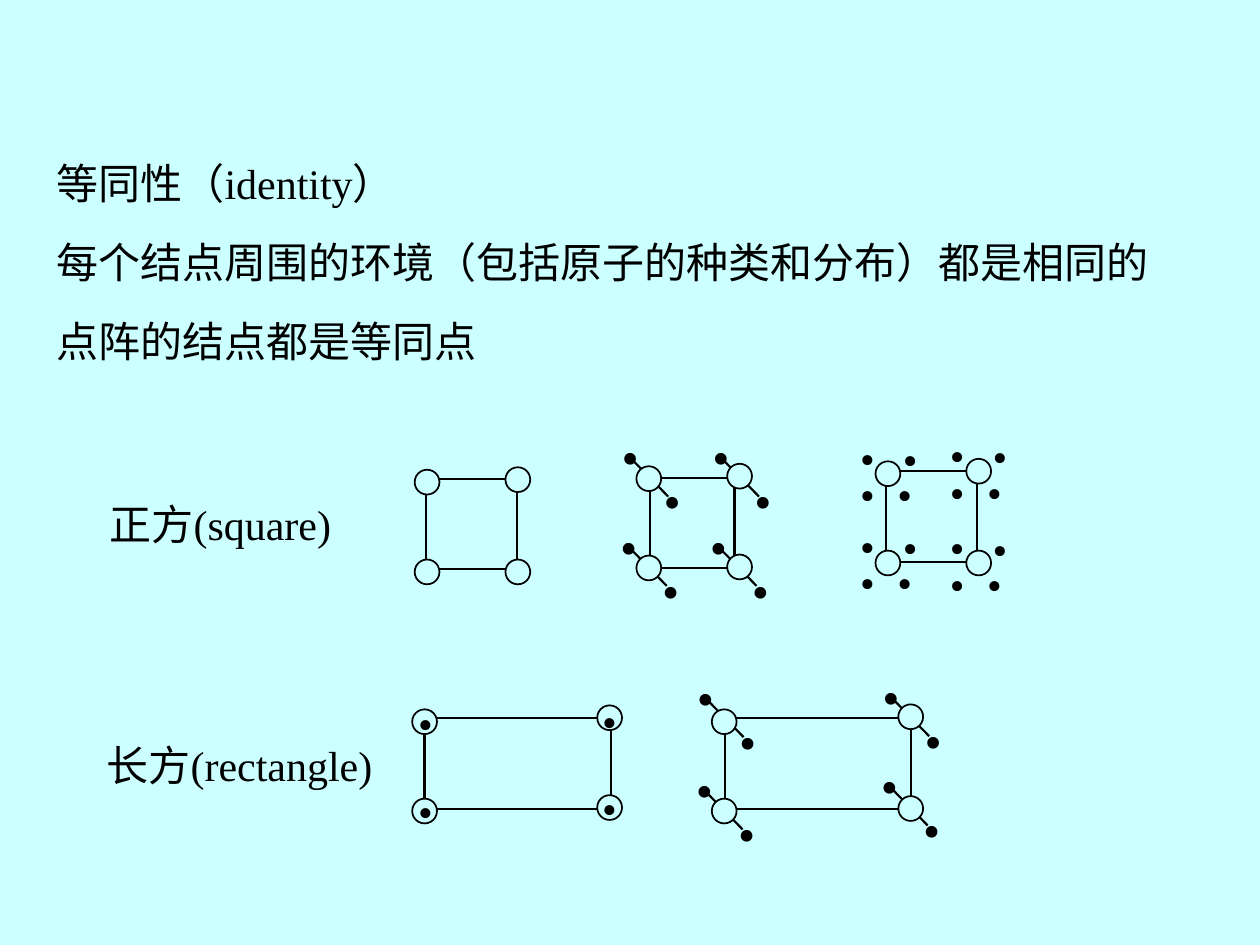
import pptx
import pptx.dml.color
import pptx.enum.shapes
import pptx.enum.text
import pptx.oxml.ns
import pptx.util
import lxml.etree

Cm, Pt = pptx.util.Cm, pptx.util.Pt
COLOURS = {"ground": "CCFFFF", "ink": "000000"}
FONT = "Times New Roman"
NODE_SIZE = 0.5

statements = [
    "等同性（identity）",
    "每个结点周围的环境（包括原子的种类和分布）都是相同的",
    "点阵的结点都是等同点",
]
labels = [
    ("正方(square)", (1.96, 9.93, 5.28, 1.27)),
    ("长方(rectangle)", (1.9, 14.78, 5.92, 1.27)),
]

motifs = {
    "bare": {"dots": []},
    "centred": {"dots": [(0, 0)], "size": 24, "box": (1.07, 1.27), "on_top": True},
    "pair": {"dots": [(-0.37, -0.69), (0.48, 0.2)], "size": 28,
             "box": (1.02, 1.45), "bond": (0.82, 0.84)},
    "four": {"dots": [(0, 0), (0.86, 0.03), (0, 0.74), (0.75, 0.74)],
             "size": 24, "box": (1.07, 1.27)},
}

lattices = [
    {"motif": "bare", "frame": (8.59, 9.65, 1.83, 1.83),
     "nodes": [(8.36, 9.47), (10.19, 9.42), (8.36, 11.28), (10.19, 11.28)],
     "anchors": []},
    {"motif": "pair", "frame": (13.11, 9.63, 1.7, 1.83),
     "nodes": [(12.83, 9.4), (14.66, 9.35), (12.83, 11.2), (14.66, 11.18)],
     "anchors": [(12.65, 9.17), (14.48, 9.17), (12.62, 10.97), (14.43, 10.97)]},
    {"motif": "four", "frame": (17.86, 9.5, 1.83, 1.83),
     "nodes": [(17.65, 9.3), (19.48, 9.25), (17.65, 11.1), (19.48, 11.1)],
     "anchors": [(17.09, 8.59), (18.9, 8.53), (17.09, 10.36), (18.9, 10.39)]},
    {"motif": "centred", "frame": (8.56, 14.48, 3.76, 1.83),
     "nodes": [(8.31, 14.3), (12.04, 14.22), (8.31, 16.1), (12.04, 16.03)],
     "anchors": [(8.18, 13.94), (11.89, 13.89), (8.18, 15.72), (11.89, 15.65)]},
    {"motif": "pair", "frame": (14.61, 14.48, 3.76, 1.83),
     "nodes": [(14.35, 14.3), (18.11, 14.2), (14.35, 16.1), (18.11, 16.05)],
     "anchors": [(14.17, 14.02), (17.91, 14.0), (14.15, 15.88), (17.88, 15.8)]},
]


def colour(name):
    return pptx.dml.color.RGBColor.from_string(COLOURS[name])


def lengths(values):
    return [Cm(value) for value in values]


def add_text(shapes, place, lines, size, line_spacing=None, space_before=None):
    textbox = shapes.add_textbox(*lengths(place))
    frame = textbox.text_frame
    frame.word_wrap = True
    frame.auto_size = pptx.enum.text.MSO_AUTO_SIZE.SHAPE_TO_FIT_TEXT
    for index, line in enumerate(lines):
        paragraph = frame.add_paragraph() if index else frame.paragraphs[0]
        paragraph.line_spacing = line_spacing
        paragraph.space_before = space_before
        run = paragraph.add_run()
        run.text = line
        run.font.size = Pt(size)
        run.font.name = FONT
        run.font.color.rgb = colour("ink")


def add_outline(shapes, kind, place, width, fill=None):
    outline = shapes.add_shape(kind, *lengths(place))
    outline.shadow.inherit = False
    if fill:
        outline.fill.solid()
        outline.fill.fore_color.rgb = colour(fill)
    else:
        outline.fill.background()
    outline.line.color.rgb = colour("ink")
    outline.line.width = Pt(width)


def add_bond(shapes, x, y, dx, dy):
    bond = shapes.add_connector(pptx.enum.shapes.MSO_CONNECTOR.STRAIGHT,
                                *lengths((x, y, x + dx, y + dy)))
    bond.line.color.rgb = colour("ink")
    bond.line.width = Pt(1.25)
    lxml.etree.SubElement(bond._element.spPr, pptx.oxml.ns.qn("a:effectLst"))


def add_motifs(shapes, motif, anchors):
    for x, y in anchors:
        for dx, dy in motif["dots"]:
            add_text(shapes, (x + dx, y + dy, *motif["box"]), ["•"], motif["size"])
        if "bond" in motif:
            add_bond(shapes, x, y, *motif["bond"])


def add_lattice(slide, lattice):
    shapes = slide.shapes.add_group_shape().shapes
    motif = motifs[lattice["motif"]]
    kinds = pptx.enum.shapes.MSO_SHAPE
    on_top = motif.get("on_top", False)
    if not on_top:
        add_motifs(shapes, motif, lattice["anchors"])
    add_outline(shapes, kinds.RECTANGLE, lattice["frame"], 1.25)
    for node in lattice["nodes"]:
        add_outline(shapes, kinds.OVAL, (*node, NODE_SIZE, NODE_SIZE), 1, "ground")
    if on_top:
        add_motifs(shapes, motif, lattice["anchors"])


def main():
    deck = pptx.Presentation()
    deck.slide_width, deck.slide_height = Cm(25.4), Cm(19.05)
    slide = deck.slides.add_slide(deck.slide_layouts[6])
    slide.background.fill.solid()
    slide.background.fill.fore_color.rgb = colour("ground")
    add_text(slide.shapes, (0.89, 2.64, 23.6, 4.98), statements, 24, 1.4, Pt(4.8))
    for label, place in labels:
        add_text(slide.shapes, place, [label], 24)
    for lattice in lattices:
        add_lattice(slide, lattice)
    deck.save("out.pptx")


if __name__ == "__main__":
    main()
